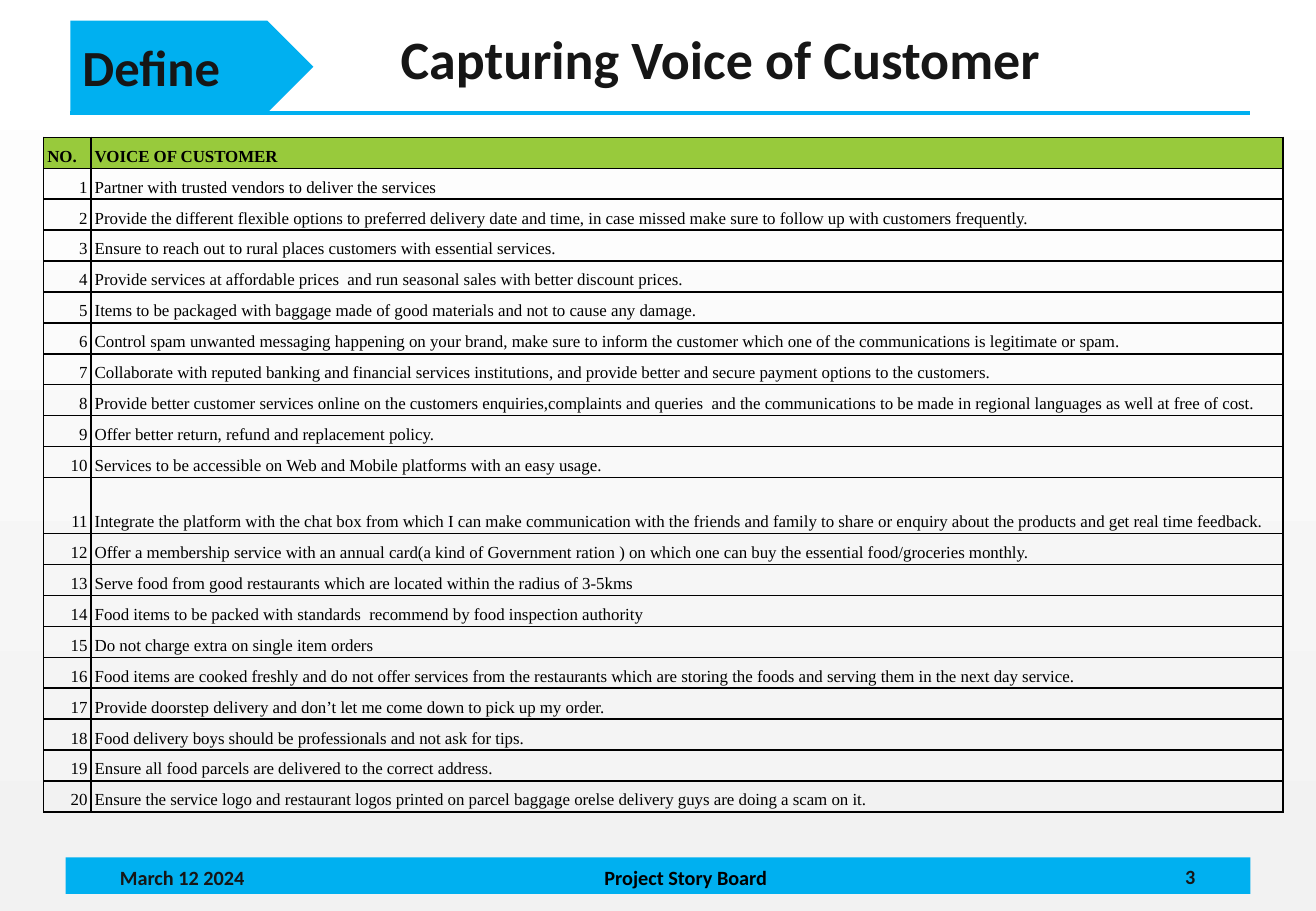
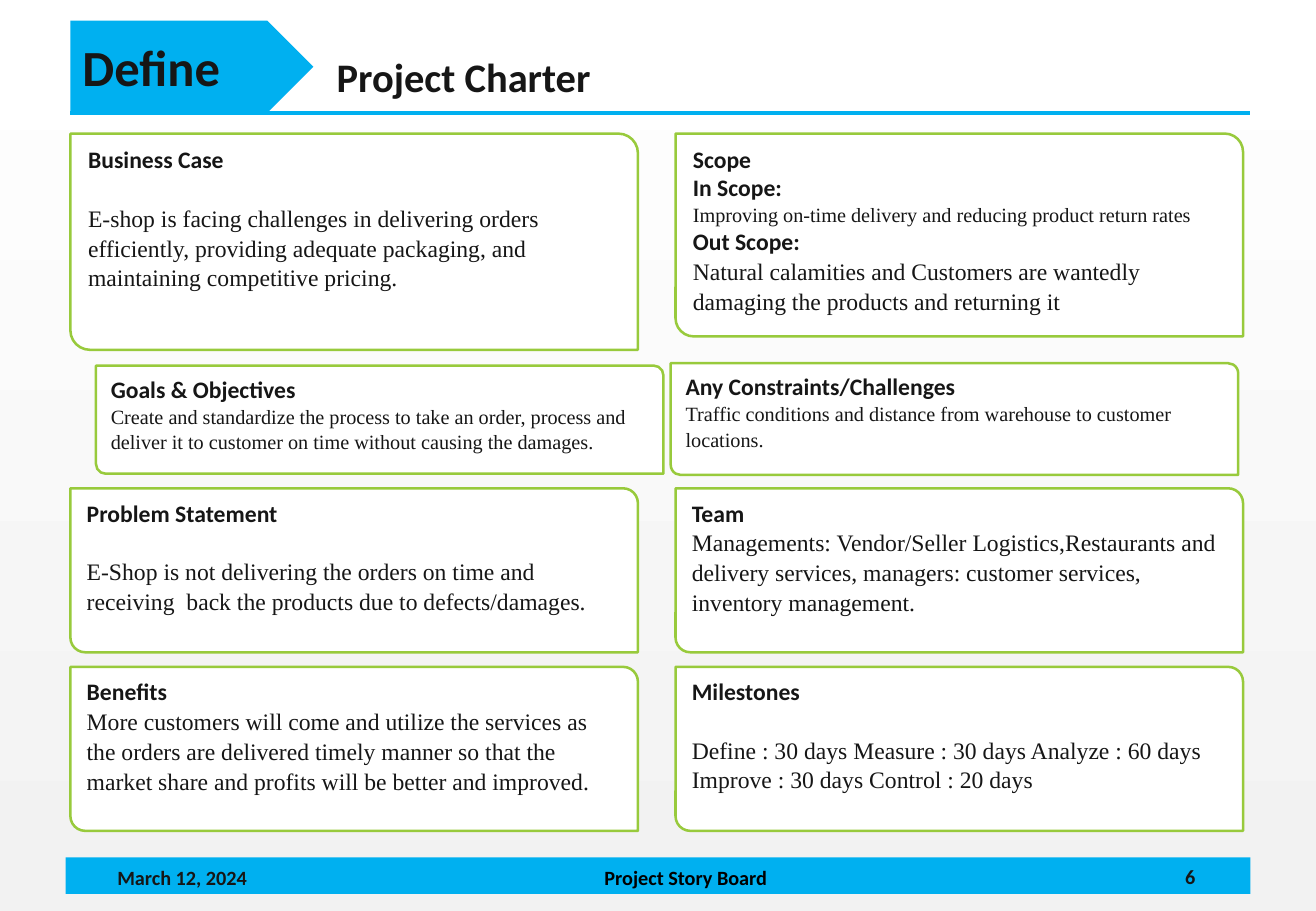
import pptx
import pptx.util
import pptx.oxml
import pptx.dml.color
import pptx.enum.shapes
import pptx.enum.text

Inches, Pt = pptx.util.Inches, pptx.util.Pt
SHAPE = pptx.enum.shapes.MSO_SHAPE
ANCHOR = pptx.enum.text.MSO_ANCHOR
ALIGN = pptx.enum.text.PP_ALIGN

COLORS = {
    "blue": "00B0F0",
    "green": "98CA3C",
    "ink": "161616",
    "black": "000000",
    "white": "FFFFFF",
    "mist": "F2F2F2",
}
SANS, SERIF = "Calibri", "Times New Roman"
NS = 'xmlns:a="http://schemas.openxmlformats.org/drawingml/2006/main"'

VOICES = [
    "Partner with trusted vendors to deliver the services",
    "Provide the different flexible options to preferred delivery date and time, in case missed make sure to follow up with customers frequently.",
    "Ensure to reach out to rural places customers with essential services.",
    "Provide services at affordable prices  and run seasonal sales with better discount prices.",
    "Items to be packaged with baggage made of good materials and not to cause any damage.",
    "Control spam unwanted messaging happening on your brand, make sure to inform the customer which one of the communications is legitimate or spam.",
    "Collaborate with reputed banking and financial services institutions, and provide better and secure payment options to the customers.",
    "Provide better customer services online on the customers enquiries,complaints and queries  and the communications to be made in regional languages as well at free of cost.",
    "Offer better return, refund and replacement policy.",
    "Services to be accessible on Web and Mobile platforms with an easy usage.",
    "Integrate the platform with the chat box from which I can make communication with the friends and family to share or enquiry about the products and get real time feedback.",
    "Offer a membership service with an annual card(a kind of Government ration ) on which one can buy the essential food/groceries monthly.",
    "Serve food from good restaurants which are located within the radius of 3-5kms",
    "Food items to be packed with standards  recommend by food inspection authority",
    "Do not charge extra on single item orders",
    "Food items are cooked freshly and do not offer services from the restaurants which are storing the foods and serving them in the next day service.",
    "Provide doorstep delivery and don’t let me come down to pick up my order.",
    "Food delivery boys should be professionals and not ask for tips.",
    "Ensure all food parcels are delivered to the correct address.",
    "Ensure the service logo and restaurant logos printed on parcel baggage orelse delivery guys are doing a scam on it.",
]
TALL_ROW = 11

# Each card: left, top, height, gap under heading (pt), then (text, size, is heading)
LEFT, RIGHT, CARD_W = 0.58, 5.56, 4.67
CARDS = [
    (LEFT, 1.1, 1.78, 17, [
        ("Business Case", 14, True),
        ("E-shop is facing challenges in delivering orders efficiently, providing adequate packaging, and maintaining competitive pricing.", 14, False)]),
    (0.79, 3.01, 0.89, 0, [
        ("Goals & Objectives", 14, True),
        ("Create and standardize the process to take an order, process and deliver it to customer on time without causing the damages.", 12, False)]),
    (LEFT, 4.02, 1.35, 17, [
        ("Problem Statement", 14, True),
        ("E-Shop is not delivering the orders on time and receiving  back the products due to defects/damages.", 14, False)]),
    (LEFT, 5.49, 1.35, 0, [
        ("Benefits", 14, True),
        ("More customers will come and utilize the services as the orders are delivered timely manner so that the market share and profits will be better and improved.", 14, False)]),
    (RIGHT, 1.1, 1.67, 0, [
        ("Scope", 14, True),
        ("In Scope:", 14, True),
        ("Improving on-time delivery and reducing product return rates", 12, False),
        ("Out Scope:", 14, True),
        ("Natural calamities and Customers are wantedly damaging the products and returning it", 14, False)]),
    (5.52, 2.99, 0.92, 0, [
        ("Any Constraints/Challenges", 14, True),
        ("Traffic conditions and distance from warehouse to customer locations.", 12, False)]),
    (RIGHT, 4.02, 1.35, 0, [
        ("Team", 14, True),
        ("Managements: Vendor/Seller Logistics,Restaurants and delivery services, managers: customer services, inventory management.", 14, False)]),
    (RIGHT, 5.49, 1.35, 17, [
        ("Milestones", 14, True),
        ("Define : 30 days Measure : 30 days Analyze : 60 days", 14, False),
        ("Improve : 30 days Control : 20 days", 14, False)]),
]


def rgb(name):
    return pptx.dml.color.RGBColor.from_string(COLORS[name])


def style(p, size, font=SANS, color="ink", bold=True, align=ALIGN.LEFT):
    p.alignment = align
    for r in p.runs:
        r.font.size, r.font.name, r.font.bold = Pt(size), font, bold
        r.font.color.rgb = rgb(color)


def add_label(slide, box, text, size, color="ink", align=ALIGN.CENTER,
              anchor=ANCHOR.MIDDLE):
    tf = slide.shapes.add_textbox(*map(Inches, box)).text_frame
    tf.word_wrap = True
    tf.vertical_anchor = anchor
    tf.margin_left = tf.margin_right = tf.margin_top = tf.margin_bottom = 0
    tf.text = text
    style(tf.paragraphs[0], size, color=color, align=align)


def add_filled(slide, kind, box, fill, line=None):
    sp = slide.shapes.add_shape(kind, *map(Inches, box))
    sp.shadow.inherit = False
    sp.fill.solid()
    sp.fill.fore_color.rgb = rgb(fill)
    if line:
        sp.line.color.rgb = rgb(line)
        sp.line.width = Pt(1.5)
    else:
        sp.line.fill.background()
    return sp


def add_header(slide, left, top, width, phase):
    """Phase arrow standing on a rule that spans the width."""
    height = 0.76
    sp = add_filled(slide, SHAPE.PENTAGON, (left, top, 2, height), "blue")
    tf = sp.text_frame
    tf.text = phase
    tf.vertical_anchor = ANCHOR.MIDDLE
    style(tf.paragraphs[0], 30)
    y = Inches(top + height)
    rule = slide.shapes.add_connector(
        pptx.enum.shapes.MSO_CONNECTOR.STRAIGHT,
        Inches(left), y, Inches(left + width), y)
    rule.line.color.rgb = rgb("blue")
    rule.line.width = Pt(2.25)
    rule._element.spPr.append(pptx.oxml.parse_xml(f"<a:effectLst {NS}/>"))


def add_footer(slide, left, top, width, date, number):
    add_filled(slide, SHAPE.RECTANGLE, (left, top, width, 0.3), "blue")
    add_label(slide, (left + 3.19, top + 0.06, 3.83, 0.3), "Project Story Board",
              12, "black", anchor=ANCHOR.TOP)
    add_label(slide, (left + 8.98, top, 0.55, 0.31), number, 12)
    add_label(slide, (left + 0.21, top + 0.07, 1.5, 0.18), date, 12)


def add_frame_slide(prs, date, number):
    """Slide with the shared background, header and footer."""
    slide = prs.slides.add_slide(prs.slide_layouts[6])
    fill = slide.background.fill
    fill.gradient()
    fill.gradient_angle = 270
    for stop, name in zip(fill.gradient_stops, ("white", "mist")):
        stop.color.rgb = rgb(name)
    add_footer(slide, 0.54, 7.06, 9.75, date, number)
    add_header(slide, 0.58, 0.17, 9.71, "Define")
    return slide


def add_cell_borders(cell):
    tc_pr = cell._tc.get_or_add_tcPr()
    for i, side in enumerate("LRTB"):
        tc_pr.insert(i, pptx.oxml.parse_xml(
            f'<a:ln{side} {NS} w="{Pt(0.9)}"><a:solidFill>'
            f'<a:srgbClr val="{COLORS["black"]}"/></a:solidFill></a:ln{side}>'))


def add_voice_table(slide, left, top, width, height):
    rows = [("NO.", "VOICE OF CUSTOMER")]
    rows += [(str(n), voice) for n, voice in enumerate(VOICES, 1)]
    table = slide.shapes.add_table(
        len(rows), 2, *map(Inches, (left, top, width, height))).table
    table.first_row = table.horz_banding = False
    number_w, tall_h = 0.39, 0.46
    row_h = (height - tall_h) / (len(rows) - 1)
    table.columns[0].width = Inches(number_w)
    table.columns[1].width = Inches(width - number_w)
    for i, row in enumerate(rows):
        table.rows[i].height = Inches(tall_h if i == TALL_ROW else row_h)
        for j, text in enumerate(row):
            cell = table.cell(i, j)
            cell.text = text
            cell.vertical_anchor = ANCHOR.BOTTOM
            cell.margin_left = cell.margin_right = Inches(0.03)
            cell.margin_top = cell.margin_bottom = Inches(0.02)
            if i == 0:
                cell.fill.solid()
                cell.fill.fore_color.rgb = rgb("green")
            else:
                cell.fill.background()
            add_cell_borders(cell)
            p = cell.text_frame.paragraphs[0]
            p.line_spacing = 1.15
            style(p, 10, SERIF, "black", bold=i == 0,
                  align=ALIGN.RIGHT if i and j == 0 else ALIGN.LEFT)


def add_card(slide, left, top, height, gap, lines):
    sp = add_filled(slide, SHAPE.ROUND_2_DIAG_RECTANGLE,
                    (left, top, CARD_W, height), "white", "green")
    sp.adjustments[0], sp.adjustments[1] = 0, 0.09
    tf = sp.text_frame
    tf.word_wrap = True
    tf.vertical_anchor = ANCHOR.TOP
    tf.text = "\n".join(text for text, _, _ in lines)
    for p, (_, size, heading) in zip(tf.paragraphs, lines):
        style(p, size, SANS if heading else SERIF, bold=heading)
        if not heading:
            p.line_spacing = 1.05
    tf.paragraphs[0].space_after = Pt(gap)


def build_voice_slide(prs):
    slide = add_frame_slide(prs, "March 12 2024", "3")
    add_label(slide, (2.52, 0.18, 6.82, 0.6), "Capturing Voice of Customer", 32)
    add_voice_table(slide, 0.36, 1.13, 10.2, 5.56)


def build_charter_slide(prs):
    slide = add_frame_slide(prs, "March 12, 2024", "6")
    add_label(slide, (2.77, 0.33, 7.4, 0.6), "Project Charter", 24,
              align=ALIGN.LEFT)
    for card in CARDS:
        add_card(slide, *card)


def main():
    prs = pptx.Presentation()
    prs.slide_width, prs.slide_height = Inches(10.83), Inches(7.5)
    build_voice_slide(prs)
    build_charter_slide(prs)
    prs.save("out.pptx")


if __name__ == "__main__":
    main()
